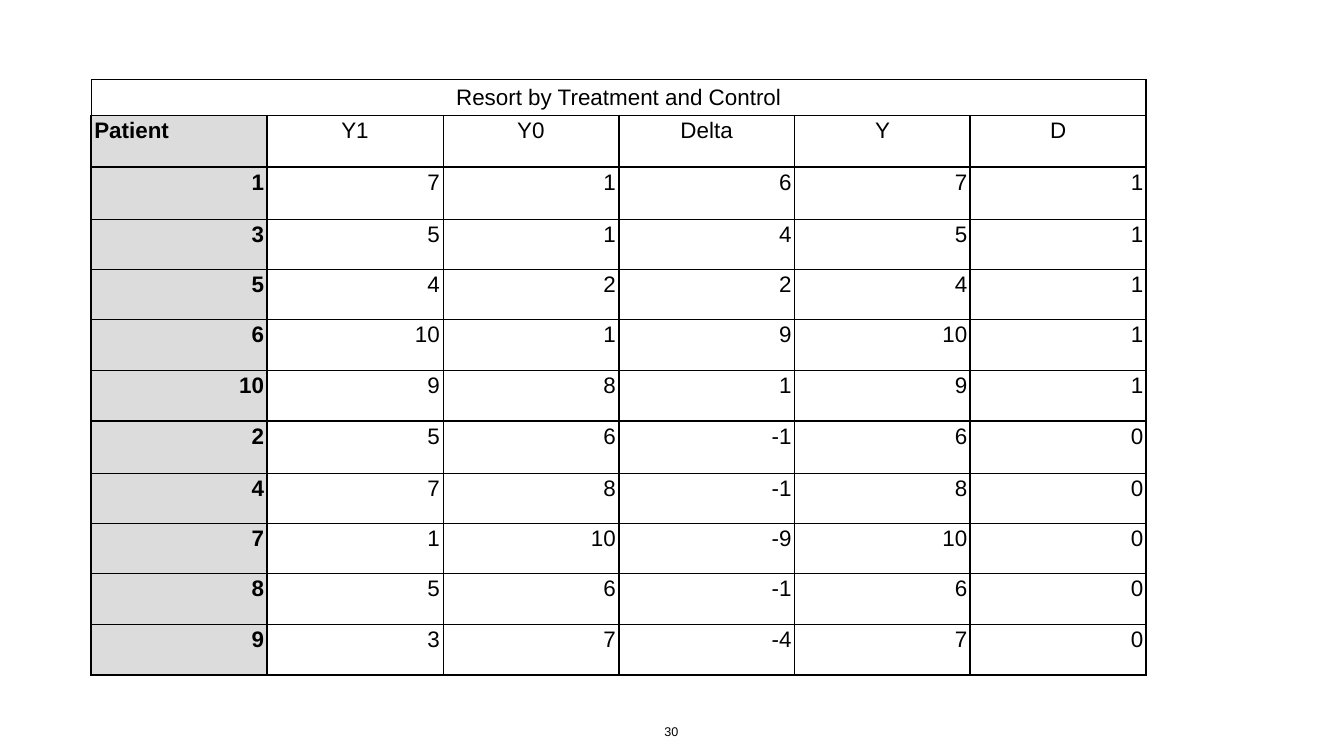
from lxml.etree import SubElement
from pptx import Presentation
from pptx.dml.color import RGBColor
from pptx.enum.text import MSO_ANCHOR as Anchor, MSO_AUTO_SIZE as AutoSize, PP_ALIGN as Align
from pptx.oxml.ns import qn
from pptx.util import Pt

COLORS = {"ink": "000000", "patient": "DCDCDC"}
FONT = "Arial"
INSET = 4.32
THICK, MEDIUM, THIN = 3, 1, 0.35

CAPTION = "Resort by Treatment and Control"
HEADINGS = ["Patient", "Y1", "Y0", "Delta", "Y", "D"]
TREATED = [
    (1, 7, 1, 6, 7, 1),
    (3, 5, 1, 4, 5, 1),
    (5, 4, 2, 2, 4, 1),
    (6, 10, 1, 9, 10, 1),
    (10, 9, 8, 1, 9, 1),
]
CONTROLS = [
    (2, 5, 6, -1, 6, 0),
    (4, 7, 8, -1, 8, 0),
    (7, 1, 10, -9, 10, 0),
    (8, 5, 6, -1, 6, 0),
    (9, 3, 7, -4, 7, 0),
]
COLUMN_WIDTH = 251.2
ROW_HEIGHTS = [51.12, 74.16, 73.44, 72, 72, 72, 73.44, 73.44, 72, 72, 72, 73.44]
LEFT_WIDTHS = [THICK, MEDIUM, THIN, THICK, THIN, THICK]
RIGHT_WIDTHS = [THICK, THIN, THICK, THIN, THICK, THICK]
GROUP_STARTS = {2, 2 + len(TREATED)}
GROUP_ENDS = {0} | {start - 1 for start in GROUP_STARTS} | {len(ROW_HEIGHTS) - 1}


def write(frame, content, size, align, bold=False):
    frame.text = str(content)
    paragraph = frame.paragraphs[0]
    paragraph.alignment = align
    font = paragraph.runs[0].font
    font.name, font.size, font.bold = FONT, Pt(size), bold
    font.color.rgb = RGBColor.from_string(COLORS["ink"])
    return paragraph


def set_insets(holder):
    holder.margin_left = holder.margin_right = Pt(INSET)
    holder.margin_top = holder.margin_bottom = Pt(INSET)


def border_widths(row, column):
    left, right = LEFT_WIDTHS[column], RIGHT_WIDTHS[column]
    top = THICK if row in GROUP_STARTS else THIN
    bottom = THICK if row in GROUP_ENDS else THIN
    if row == 0:
        left = top = MEDIUM
    elif row == 1:
        top = THICK if column == 0 else MEDIUM
    return {"L": left, "R": right, "T": top, "B": bottom}


def draw_borders(cell, widths):
    properties = cell._tc.get_or_add_tcPr()
    for side, width in widths.items():
        line = SubElement(properties, qn(f"a:ln{side}"), w=str(Pt(width)))
        fill = SubElement(line, qn("a:solidFill"))
        SubElement(fill, qn("a:srgbClr"), val=COLORS["ink"])


def format_cell(cell, row, column, content):
    is_patient = column == 0 and row > 0
    if row > 1:
        align = Align.RIGHT
    else:
        align = Align.LEFT if is_patient else Align.CENTER
    paragraph = write(cell.text_frame, content, 32, align, is_patient)
    set_insets(cell)
    if row == 0:
        cell.vertical_anchor = Anchor.MIDDLE
        paragraph.space_before = Pt(6)
    draw_borders(cell, border_widths(row, column))
    if is_patient:
        cell.fill.solid()
        cell.fill.fore_color.rgb = RGBColor.from_string(COLORS["patient"])
    else:
        cell.fill.background()


def add_outcomes(slide):
    records = [[CAPTION], HEADINGS, *TREATED, *CONTROLS]
    frame = slide.shapes.add_table(
        len(records), len(HEADINGS), Pt(130.4), Pt(113.8),
        Pt(COLUMN_WIDTH * len(HEADINGS)), Pt(sum(ROW_HEIGHTS)))
    outcomes = frame.table
    outcomes.first_row = outcomes.horz_banding = False
    for column in outcomes.columns:
        column.width = Pt(COLUMN_WIDTH)
    for row, height in zip(outcomes.rows, ROW_HEIGHTS):
        row.height = Pt(height)
    outcomes.cell(0, 0).merge(outcomes.cell(0, len(HEADINGS) - 1))
    for row, record in enumerate(records):
        for column, content in enumerate(record):
            format_cell(outcomes.cell(row, column), row, column, content)


def add_page_number(slide, number):
    frame = slide.shapes.add_textbox(Pt(944.6), Pt(1030.3), Pt(28.8), Pt(29.5)).text_frame
    set_insets(frame)
    frame.word_wrap = False
    frame.auto_size = AutoSize.SHAPE_TO_FIT_TEXT
    frame.vertical_anchor = Anchor.BOTTOM
    write(frame, number, 18, Align.CENTER)


def main():
    deck = Presentation()
    deck.slide_width, deck.slide_height = Pt(1920), Pt(1080)
    slide = deck.slides.add_slide(deck.slide_layouts[6])
    add_page_number(slide, 30)
    add_outcomes(slide)
    deck.save("out.pptx")


if __name__ == "__main__":
    main()
